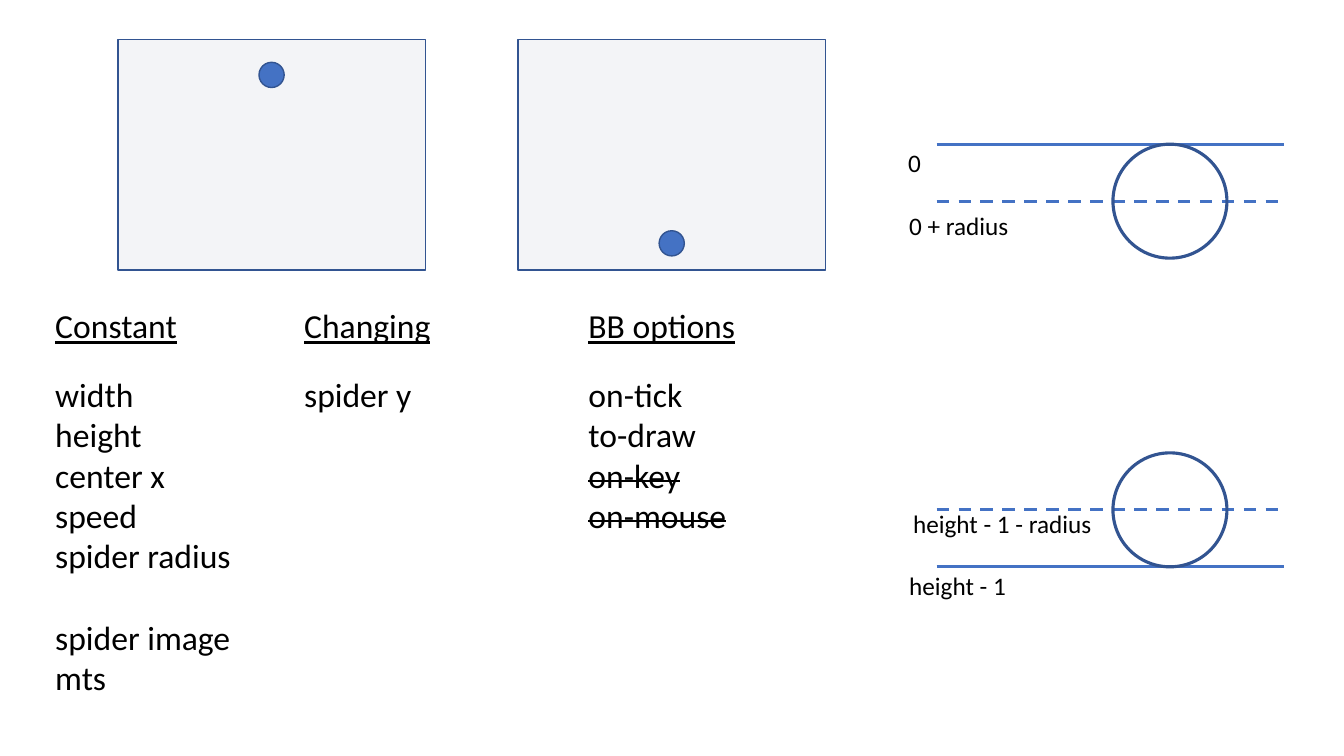
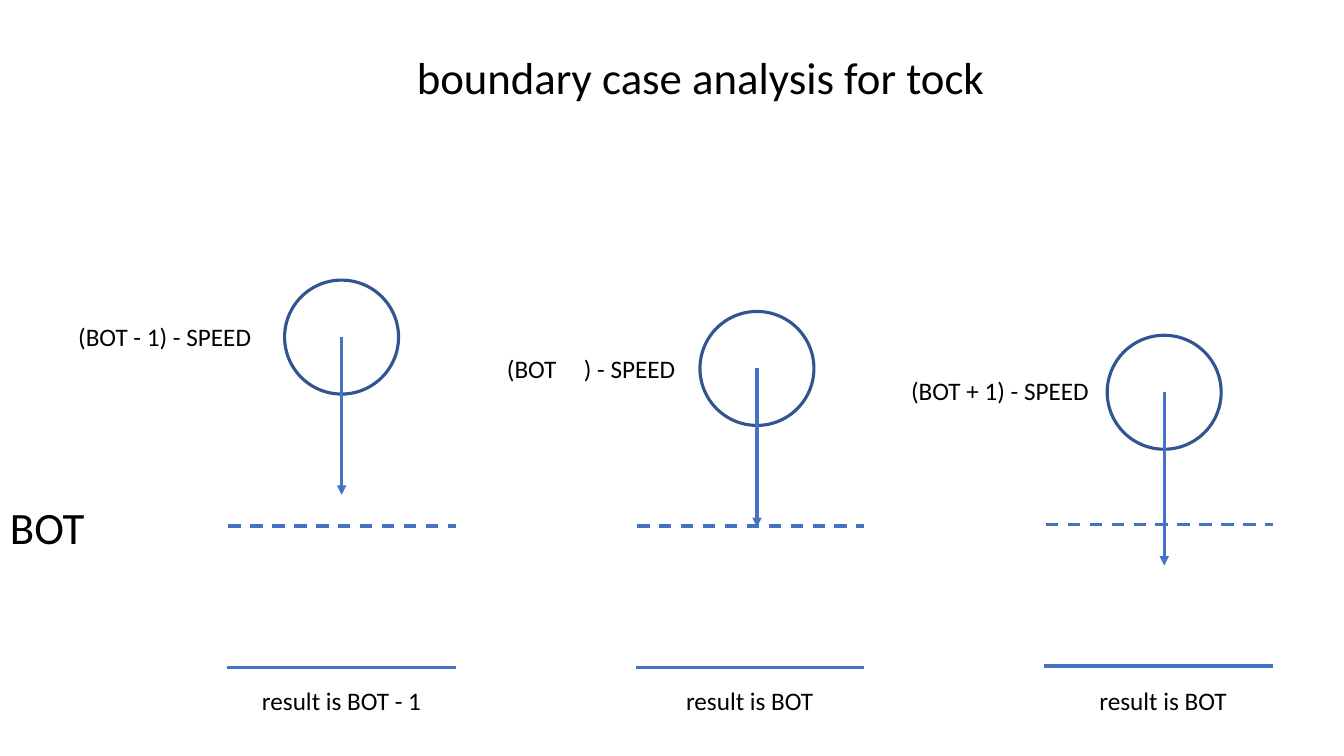
from dataclasses import dataclass

from lxml import etree
from pptx import Presentation
from pptx.dml.color import RGBColor
from pptx.enum.dml import MSO_LINE
from pptx.enum.shapes import MSO_CONNECTOR, MSO_SHAPE
from pptx.enum.text import PP_ALIGN
from pptx.oxml.ns import qn
from pptx.util import Pt

RECT, OVAL = MSO_SHAPE.RECTANGLE, MSO_SHAPE.OVAL
STRAIGHT, DASH = MSO_CONNECTOR.STRAIGHT, MSO_LINE.DASH
LEFT, CENTER, RIGHT = PP_ALIGN.LEFT, PP_ALIGN.CENTER, PP_ALIGN.RIGHT


@dataclass(frozen=True)
class Theme:
    """Colours, type sizes and line weights shared by the slides."""
    font: str = "Calibri"
    ink: RGBColor = RGBColor(0, 0, 0)
    accent: RGBColor = RGBColor(0x44, 0x72, 0xC4)
    outline: RGBColor = RGBColor(0x32, 0x54, 0x91)
    canvas: RGBColor = RGBColor(0xD6, 0xDC, 0xE5)
    canvas_alpha: int = 29000
    title: int = 32
    body: int = 24
    label: int = 18
    thin: float = 1
    thick: float = 2.25
    ball: float = 81.4
    dot: float = 18


T = Theme()


def add_text(s, box, lines, size, align=LEFT, tab=None, gaps=(), struck=(), **fmt):
    """Add a text box with one paragraph per line."""
    tf = s.shapes.add_textbox(*map(Pt, box)).text_frame
    tf.word_wrap = True
    fmt = {"name": T.font, "size": Pt(size), **fmt}
    for i, line in enumerate(lines):
        p = tf.paragraphs[0] if i == 0 else tf.add_paragraph()
        p.alignment = align
        if line in gaps:
            p.space_before = Pt(size * 1.22)
        if tab:
            tabs = etree.SubElement(p._p.get_or_add_pPr(), qn("a:tabLst"))
            etree.SubElement(tabs, qn("a:tab"), pos=str(Pt(tab)), algn="l")
        r = p.add_run()
        r.text = line
        r.font.color.rgb = T.ink
        for key, value in fmt.items():
            setattr(r.font, key, value)
        if line in struck:
            r._r.get_or_add_rPr().set("strike", "sngStrike")


def add_outline(shapes, kind, box, width, fill=None):
    """Add an outlined shape, filled only when a colour is given."""
    sp = shapes.add_shape(kind, *map(Pt, box))
    sp.shadow.inherit = False
    if fill is None:
        sp.fill.background()
    else:
        sp.fill.solid()
        sp.fill.fore_color.rgb = fill
    sp.line.color.rgb = T.outline
    sp.line.width = Pt(width)
    return sp


def add_line(shapes, start, end, dashed=False, arrow=False):
    """Add a straight accent line, optionally dashed or with an arrowhead."""
    c = shapes.add_connector(STRAIGHT, *map(Pt, (*start, *end)))
    c.line.color.rgb = T.accent
    c.line.width = Pt(T.thick)
    if dashed:
        c.line.dash_style = DASH
    if arrow:
        etree.SubElement(c.line._get_or_add_ln(), qn("a:tailEnd"), type="triangle")
    etree.SubElement(c._element.spPr, qn("a:effectLst"))


def add_ball(shapes, cx, cy):
    """Add a hollow ball around a centre."""
    d = T.ball
    add_outline(shapes, OVAL, (cx - d / 2, cy - d / 2, d, d), T.thick)


def scene(s, box, dot_dy):
    """Draw a pale canvas with the spider dot on its centre line."""
    x, y, w, h = box
    sp = add_outline(s.shapes, RECT, box, T.thin, T.canvas)
    colour = sp._element.spPr.find(qn("a:solidFill"))[0]
    etree.SubElement(colour, qn("a:alpha"), val=str(T.canvas_alpha))
    dot = (x + (w - T.dot) / 2, y + dot_dy, T.dot, T.dot)
    add_outline(s.shapes, OVAL, dot, T.thin, T.accent)


def column(s, box, heading, items, **fmt):
    """Write an underlined heading above a list."""
    x, y, w, h = box
    add_text(s, (x, y, w, 36), [heading], T.body, underline=True)
    add_text(s, (x, y + 49, w, h - 49), items, T.body, **fmt)


def edge_diagram(s, box, edge, labels):
    """Draw a ball touching an edge, its dashed centre line and labels."""
    x, y, w, h = box
    for dy, dashed in ((edge * h, False), (h / 2, True)):
        add_line(s.shapes, (x, y + dy), (x + w, y + dy), dashed)
    add_ball(s.shapes, x + 166.7, y + h / 2)
    for text, dx, dy in labels:
        add_text(s, (x + dx, y + dy, 150, 29), [text], T.label)


def boundary_case(s, box, ball, tip, label, label_at, align, result, result_dx):
    """Draw one fall towards the dashed limit, with its labels."""
    x, y, w, h = box
    cx, cy = x + ball[0], y + ball[1]
    shapes = s.shapes.add_group_shape().shapes
    add_line(shapes, (x, y + h), (x + w, y + h))
    add_line(shapes, (x + 1, y + h - 101), (x + w, y + h - 101), dashed=True)
    add_ball(shapes, cx, cy)
    add_line(shapes, (cx, cy), (cx, y + tip), arrow=True)
    dx, dy = label_at
    add_text(s, (x + dx, y + dy, 163.5, 29), [label], T.label, align, tab=55)
    add_text(s, (x + result_dx, 486, 151, 29), [result], T.label, CENTER)


def analysis_slide(prs):
    """Build the domain analysis slide."""
    s = prs.slides.add_slide(prs.slide_layouts[6])
    for x, dot_dy in ((84.2, 16.5), (370, 136.8)):
        scene(s, (x, 28, 219.6, 165), dot_dy)
    constants = ["width", "height", "center x", "speed", "spider radius",
                 "spider image", "mts"]
    options = ["on-tick", "to-draw", "on-key", "on-mouse"]
    for x, heading, items, fmt in (
        (32.4, "Constant", constants, {"gaps": ["spider image"]}),
        (210.2, "Changing", ["spider y"], {}),
        (413.3, "BB options", options, {"struck": options[2:]}),
    ):
        column(s, (x, 214.5, 168.5, 300), heading, items, **fmt)
    for y, edge, labels in (
        (103, 0, (("0", -27.4, -1.5), ("0 + radius", -26.6, 44))),
        (323.5, 1, (("height - 1 - radius", -23.8, 35.8),
                    ("height - 1", -26.6, 80.4))),
    ):
        edge_diagram(s, (669, y, 248.4, T.ball), edge, labels)


def boundary_slide(prs):
    """Build the boundary case slide."""
    s = prs.slides.add_slide(prs.slide_layouts[6])
    add_text(s, (209.5, 31.7, 582, 46), ["boundary case analysis for tock"],
             T.title, CENTER)
    add_text(s, (0, 353.5, 248, 46), ["BOT"], T.title)
    cases = (
        (200, (82, 40.8), 153.5, "(BOT - 1) - SPEED", (-139, 26), RIGHT,
         "result is BOT - 1", 6.5),
        (200, (86.7, 63.2), 176.5, "(BOT\t) - SPEED", (-99, 49), LEFT,
         "result is BOT", 6),
        (199, (85.6, 81.2), 205, "(BOT + 1) - SPEED", (-102.3, 65.2), LEFT,
         "result is BOT", 9.3),
    )
    for i, (y, *parts) in enumerate(cases):
        boundary_case(s, (162 + 292 * i, y, 163.5, 276.7), *parts)


def main():
    """Build and save the presentation."""
    prs = Presentation()
    prs.slide_width, prs.slide_height = Pt(960), Pt(540)
    analysis_slide(prs)
    boundary_slide(prs)
    prs.save("out.pptx")


if __name__ == "__main__":
    main()
